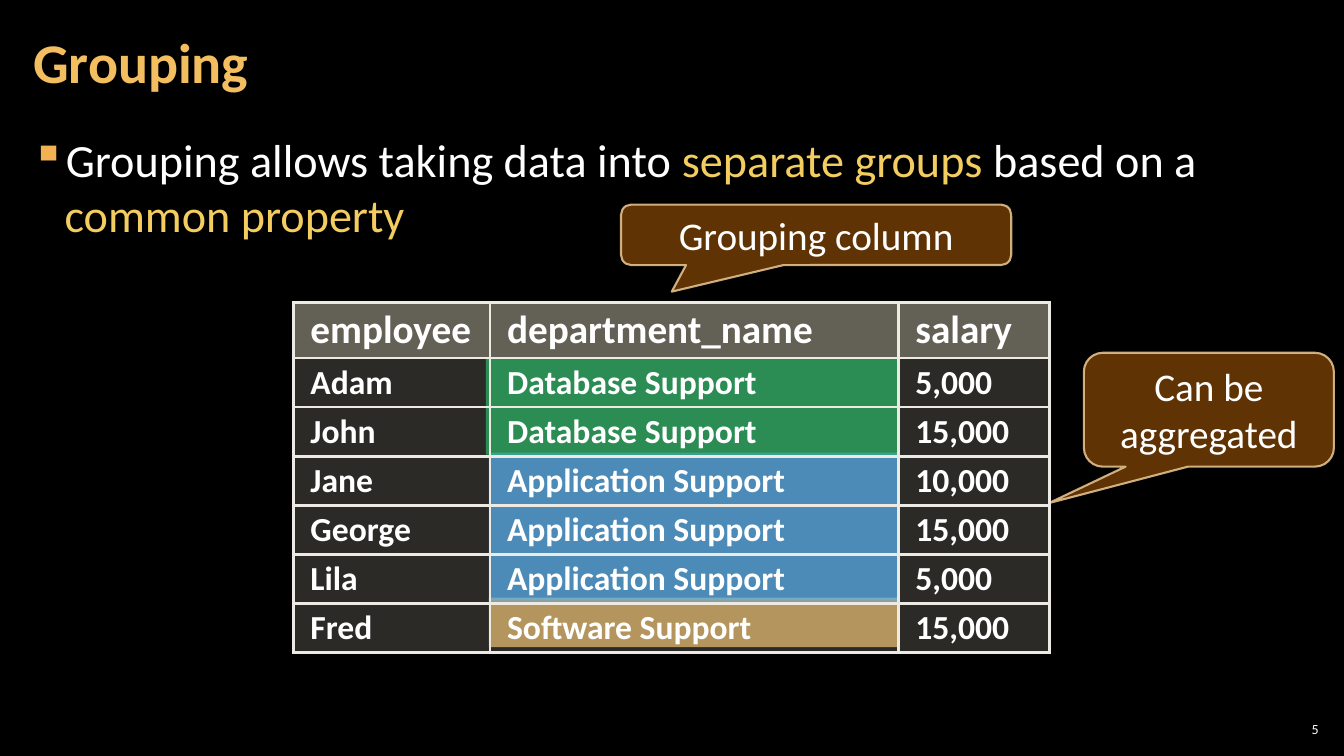
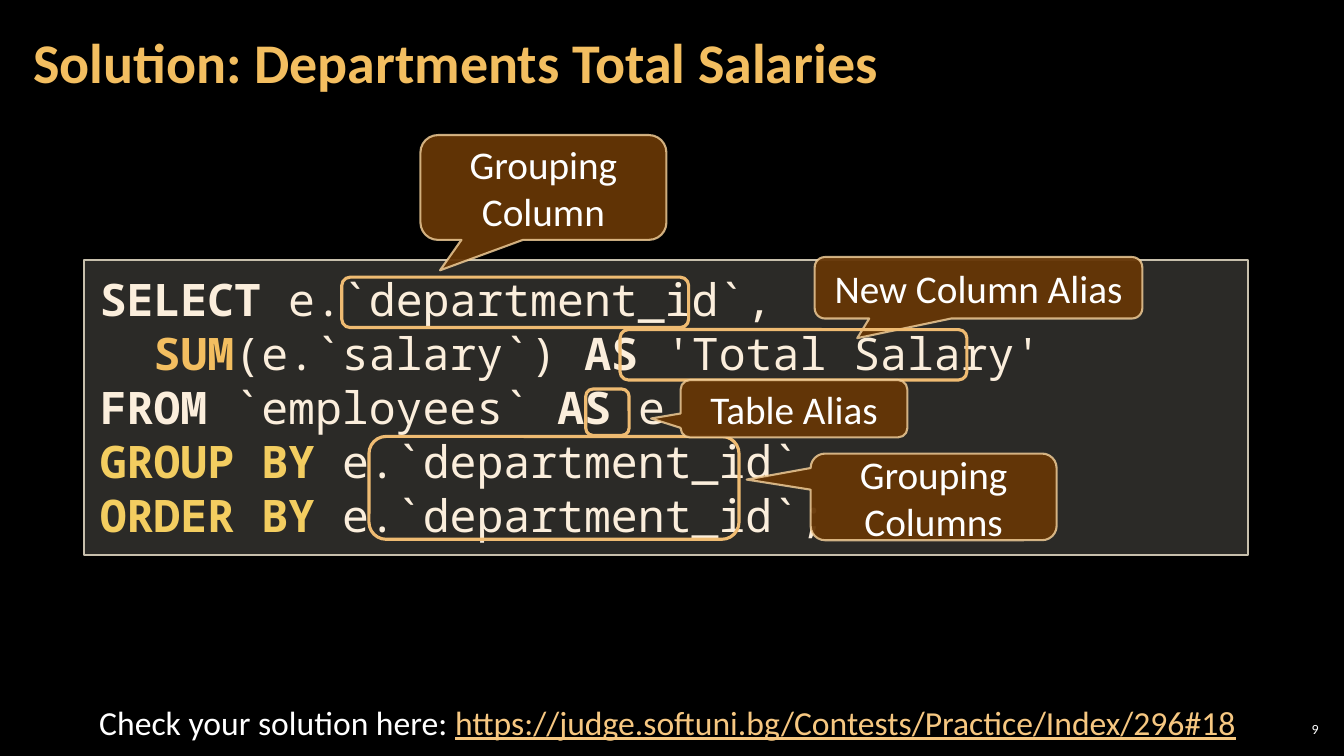
from lxml import etree
from pptx import Presentation
from pptx.dml.color import RGBColor
from pptx.enum.shapes import MSO_SHAPE
from pptx.enum.text import MSO_ANCHOR, MSO_AUTO_SIZE, PP_ALIGN
from pptx.oxml.ns import qn
from pptx.util import Inches, Pt

RECT = MSO_SHAPE.RECTANGLE
ROUND_RECT = MSO_SHAPE.ROUNDED_RECTANGLE
CALLOUT = MSO_SHAPE.ROUNDED_RECTANGULAR_CALLOUT
TOP, MIDDLE = MSO_ANCHOR.TOP, MSO_ANCHOR.MIDDLE
LEFT, CENTER, RIGHT = PP_ALIGN.LEFT, PP_ALIGN.CENTER, PP_ALIGN.RIGHT
NO_FIT, GROW = MSO_AUTO_SIZE.NONE, MSO_AUTO_SIZE.SHAPE_TO_FIT_TEXT

BLACK = RGBColor(0x00, 0x00, 0x00)
WHITE = RGBColor(0xFF, 0xFF, 0xFF)
ORANGE = RGBColor(0xF3, 0xBE, 0x60)
YELLOW = RGBColor(0xF3, 0xCD, 0x60)
BULLET = RGBColor(0xF2, 0xB2, 0x54)
LINK = RGBColor(0xF6, 0xC7, 0x81)
BROWN = RGBColor(0x66, 0x36, 0x06)
CALLOUT_LINE = RGBColor(0xF8, 0xD4, 0x9E)
MARKER_LINE = RGBColor(0xEF, 0xBB, 0x72)
PANEL = RGBColor(0xD9, 0xD5, 0xC7)
PANEL_LINE = RGBColor(0xC7, 0xBF, 0xAC)
HEADER = RGBColor(0xC6, 0xC0, 0xAA)
GRID = RGBColor(0xEC, 0xEA, 0xE3)
CREAM = RGBColor(0xFB, 0xEE, 0xDC)
BLUE = RGBColor(0x3B, 0xAB, 0xFF)
GREEN = RGBColor(0x00, 0xB0, 0x50)


def set_alpha(parent, percent):
    color = parent.find(qn("a:solidFill"))[0]
    etree.SubElement(color, qn("a:alpha"), val=str(percent * 1000))


class Deck:
    TITLE = {"name": "Calibri", "size": Pt(40), "bold": True, "color": ORANGE}
    BODY = {"name": "Calibri", "size": Pt(33), "color": WHITE}
    LABEL = {"name": "Calibri", "size": Pt(28), "color": WHITE}
    NOTE = {"name": "Calibri", "size": Pt(24), "color": WHITE}
    NUMBER = {"name": "Calibri", "size": Pt(10), "color": WHITE}
    CODE = {"name": "Noto Sans Mono", "size": Pt(32), "color": CREAM}

    def __init__(self):
        self.prs = Presentation()
        self.prs.slide_width = Inches(13.33)
        self.prs.slide_height = Inches(7.5)
        fill = self.prs.slide_master.background.fill
        fill.solid()
        fill.fore_color.rgb = BLACK

    def fill_text(self, tf, lines, style, align=LEFT, anchor=TOP,
                  insets=(0.1, 0.05), fit=NO_FIT, spacing=None):
        tf.word_wrap = True
        tf.auto_size = fit
        tf.vertical_anchor = anchor
        tf.margin_left = tf.margin_right = Inches(insets[0])
        tf.margin_top = tf.margin_bottom = Inches(insets[1])
        for i, line in enumerate(lines):
            p = tf.add_paragraph() if i else tf.paragraphs[0]
            p.alignment = align
            p.line_spacing = spacing
            for text, extra in line:
                self.add_text_run(p, text, {**style, **extra})

    def add_text_run(self, p, text, style):
        r = p.add_run()
        r.text = text
        for key, value in style.items():
            if key == "color":
                r.font.color.rgb = value
            else:
                setattr(r.font, key, value)

    def slide(self, title, number):
        self.s = self.prs.slides.add_slide(self.prs.slide_layouts[5])
        sp = self.s.shapes.title
        box = {"left": 0.21, "top": 0.04, "width": 10.47, "height": 1.21}
        for key, value in box.items():
            setattr(sp, key, Inches(value))
        self.fill_text(sp.text_frame, [[(title, {})]], self.TITLE, anchor=MIDDLE,
                       insets=(0.12, 0.04), spacing=0.9)
        self.text((12.65, 7.13, 0.47, 0.21), [(number, {})], self.NUMBER,
                  align=RIGHT, anchor=MIDDLE, insets=(0.04, 0.04))

    def text(self, box, line, style, **layout):
        sp = self.s.shapes.add_textbox(*map(Inches, box))
        self.fill_text(sp.text_frame, [line], style, **layout)
        return sp

    def bullet(self, box, line):
        sp = self.text(box, line, self.BODY, insets=(0.12, 0.04))
        pPr = sp.text_frame.paragraphs[0]._p.get_or_add_pPr()
        pPr.set("marL", str(Inches(0.33)))
        pPr.set("indent", str(-Inches(0.33)))
        color = etree.SubElement(pPr, qn("a:buClr"))
        etree.SubElement(color, qn("a:srgbClr"), val=str(BULLET))
        etree.SubElement(pPr, qn("a:buChar"), char="▪")

    def shape(self, kind, box, fill=None, alpha=100, line=None, width=1.5):
        sp = self.s.shapes.add_shape(kind, *map(Inches, box))
        sp.shadow.inherit = False
        if fill is None:
            sp.fill.background()
        else:
            sp.fill.solid()
            sp.fill.fore_color.rgb = fill
            set_alpha(sp._element.spPr, alpha)
        if line is None:
            sp.line.fill.background()
        else:
            sp.line.color.rgb = line
            sp.line.width = Pt(width)
        return sp

    def callout(self, box, label, tail):
        sp = self.shape(CALLOUT, box, BROWN, 95, CALLOUT_LINE)
        set_alpha(sp._element.spPr.find(qn("a:ln")), 80)
        sp.adjustments[0], sp.adjustments[1] = tail
        self.fill_text(sp.text_frame, [[(label, {})]], self.LABEL,
                       align=CENTER, anchor=MIDDLE)

    def marker(self, box):
        self.shape(ROUND_RECT, box, line=MARKER_LINE, width=2.25)

    def code(self, box, lines):
        sp = self.shape(RECT, box, PANEL, 20, PANEL_LINE)
        self.fill_text(sp.text_frame, lines, self.CODE, insets=(0.16, 0.12), fit=GROW)

    def table(self, left, top, widths, heights, rows):
        frame = self.s.shapes.add_table(
            len(rows), len(widths), Inches(left), Inches(top),
            Inches(sum(widths)), Inches(sum(heights)))
        table = frame.table
        table.first_row = table.horz_banding = False
        for column, width in zip(table.columns, widths):
            column.width = Inches(width)
        for i, (row, height) in enumerate(zip(rows, heights)):
            table.rows[i].height = Inches(height)
            fill, alpha = (PANEL, 20) if i else (HEADER, 50)
            style = {**(self.NOTE if i else self.LABEL), "bold": True}
            for j, value in enumerate(row):
                self.cell(table.cell(i, j), value, style, fill, alpha)

    def cell(self, cell, value, style, fill, alpha):
        cell.margin_left = cell.margin_right = Inches(0.17)
        cell.margin_top = cell.margin_bottom = Inches(0.05)
        p = cell.text_frame.paragraphs[0]
        p.line_spacing = 0.95
        self.add_text_run(p, value, style)
        cell.fill.solid()
        cell.fill.fore_color.rgb = fill
        tcPr = cell._tc.get_or_add_tcPr()
        set_alpha(tcPr, alpha)
        for i, side in enumerate(("lnL", "lnR", "lnT", "lnB")):
            ln = etree.Element(qn("a:" + side), w=str(Pt(2.25)))
            solid = etree.SubElement(ln, qn("a:solidFill"))
            etree.SubElement(solid, qn("a:srgbClr"), val=str(GRID))
            tcPr.insert(i, ln)


def grouping(deck):
    deck.slide("Grouping", "5")
    groups = [((4.85, 5.93, 4.06, 0.49), ORANGE),
              ((4.85, 4.49, 4.06, 1.47), BLUE),
              ((4.82, 3.56, 4.08, 0.95), GREEN)]
    for box, color in groups:
        deck.shape(RECT, box, color, 70)
    accent = {"color": YELLOW}
    deck.bullet((0.19, 1.26, 12.91, 6.09), [
        ("Grouping allows taking data into ", {}), ("separate groups ", accent),
        ("based on a ", {}), ("common property", accent)])
    deck.callout((6.16, 2.03, 3.87, 0.6), "Grouping column", (-0.37, 0.94))
    deck.callout((10.75, 3.5, 2.48, 1.13), "Can be aggregated", (-0.64, 0.82))
    deck.table(2.91, 3, [1.95, 4.05, 1.5], [0.54] + [0.48] * 6, [
        ("employee", "department_name", "salary"),
        ("Adam", "Database Support", "5,000"),
        ("John", "Database Support", "15,000"),
        ("Jane", "Application Support", "10,000"),
        ("George", "Application Support", "15,000"),
        ("Lila", "Application Support", "5,000"),
        ("Fred", "Software Support", "15,000")])


def solution(deck):
    deck.slide("Solution: Departments Total Salaries", "9")
    bold = {"bold": True}
    function = {"bold": True, "color": ORANGE}
    clause = {"bold": True, "color": YELLOW}
    deck.code((0.83, 2.58, 11.55, 2.93), [
        [("SELECT ", bold), ("e.`department_id`,", {})],
        [("  ", bold), ("SUM", function), ("(e.`salary`) ", {}),
         ("AS", bold), (" 'Total Salary'", {})],
        [("FROM", bold), (" `employees` ", {}), ("AS", bold), (" e", {})],
        [("GROUP BY ", clause), ("e.`department_id`", {})],
        [("ORDER BY ", clause), ("e.`department_id`;", {})]])
    deck.callout((4.17, 1.34, 2.44, 1.04), "Grouping Column", (-0.42, 0.79))
    deck.callout((8.04, 4.5, 2.44, 0.86), "Grouping Columns", (-0.76, -0.2))
    deck.callout((8.08, 2.55, 3.25, 0.61), "New Column Alias", (-0.37, 0.82))
    deck.text((0.83, 6.91, 11.58, 0.5), [
        ("Check your solution here: ", {}),
        ("https://judge.softuni.bg/Contests/Practice/Index/296#18",
         {"color": LINK, "underline": True})],
        deck.NOTE, align=CENTER, fit=GROW)
    for box in [(3.39, 2.75, 3.44, 0.5), (6.15, 3.27, 3.44, 0.5),
                (5.81, 3.86, 0.43, 0.46), (3.66, 4.33, 3.67, 1.02)]:
        deck.marker(box)
    deck.callout((6.75, 3.77, 2.25, 0.57), "Table Alias", (-0.63, 0.17))


def main():
    deck = Deck()
    grouping(deck)
    solution(deck)
    deck.prs.save("out.pptx")


if __name__ == "__main__":
    main()
